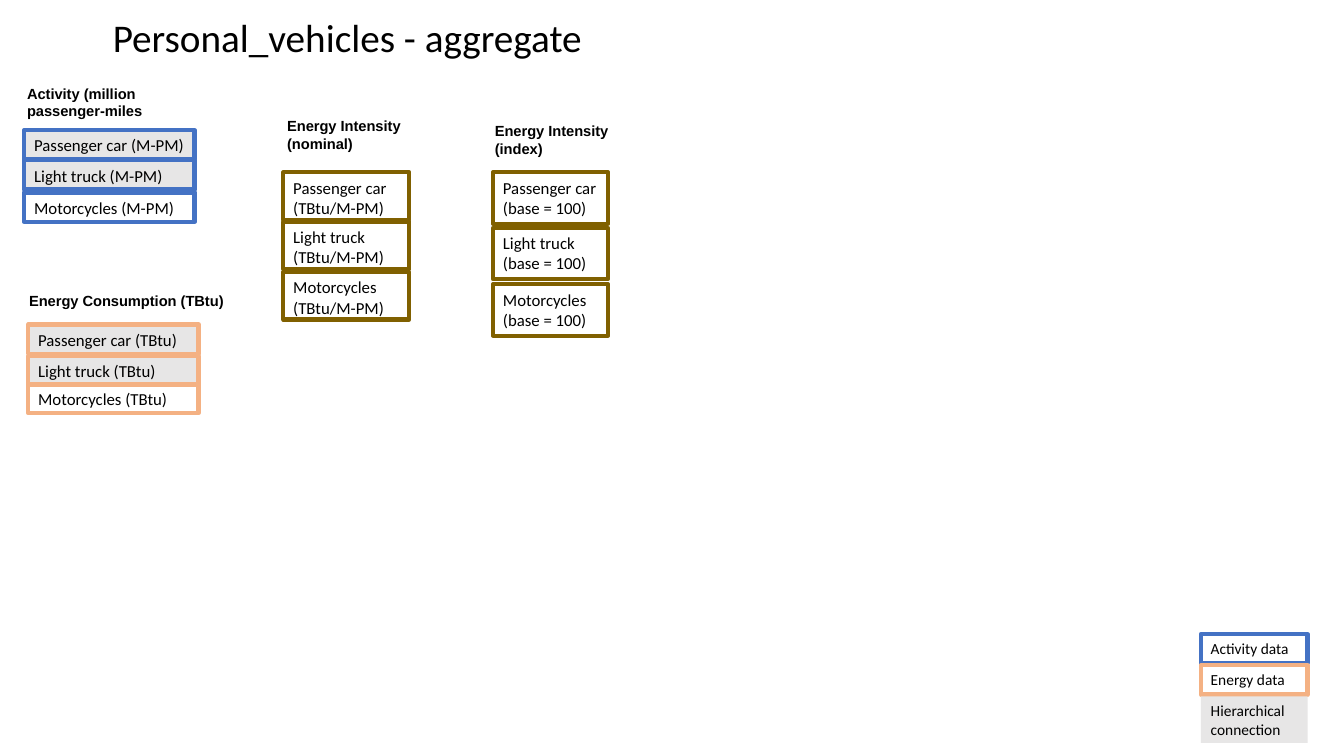
from pptx import Presentation
from pptx.dml.color import RGBColor
from pptx.enum.shapes import MSO_SHAPE
from pptx.enum.text import MSO_ANCHOR, PP_ALIGN
from pptx.util import Pt

RECTANGLE = MSO_SHAPE.RECTANGLE
TOP = MSO_ANCHOR.TOP
LEFT = PP_ALIGN.LEFT
PX = 9144

COLORS = {
    "text": "000000",
    "activity": "4472C4",
    "energy": "F4B183",
    "intensity": "806000",
    "hierarchy": "E7E6E6",
}
VEHICLES = ("Passenger car", "Light truck", "Motorcycles")
HIERARCHICAL = VEHICLES[:2]


def color(key):
    """Return the named colour."""
    return RGBColor.from_string(COLORS[key])


def scaled(box):
    """Turn a box in px into EMU lengths."""
    return [length * PX for length in box]


def write(holder, text, font="Calibri", size=12, bold=False):
    """Put formatted, wrapped, top-left text into a shape or text box."""
    frame = holder.text_frame
    frame.word_wrap = True
    frame.vertical_anchor = TOP
    paragraph = frame.paragraphs[0]
    paragraph.alignment = LEFT
    run = paragraph.add_run()
    run.text = text
    run.font.name = font
    run.font.size = Pt(size)
    run.font.bold = bold
    run.font.color.rgb = color("text")


def add_label(slide, box, text, **style):
    """Add free text in the given box."""
    write(slide.shapes.add_textbox(*scaled(box)), text, **style)


def add_node(slide, box, text, outline=None, fill=None, size=12):
    """Add a rectangle with an optional outline and fill."""
    node = slide.shapes.add_shape(RECTANGLE, *scaled(box))
    node.shadow.inherit = False
    if fill:
        node.fill.solid()
        node.fill.fore_color.rgb = color(fill)
    else:
        node.fill.background()
    if outline:
        node.line.color.rgb = color(outline)
        node.line.width = Pt(3)
    else:
        node.line.fill.background()
    write(node, text, size=size)


def add_group(slide, heading, heading_box, first_box, offsets, unit, outline,
              hierarchical=()):
    """Add a heading and one node per vehicle, stacked below the first box."""
    add_label(slide, heading_box, heading, font="Arial", size=10.5, bold=True)
    left, top, width, height = first_box
    for vehicle, offset in zip(VEHICLES, offsets):
        fill = "hierarchy" if vehicle in hierarchical else None
        add_node(slide, (left, top + offset, width, height),
                 f"{vehicle} ({unit})", outline, fill)


def add_legend(slide, box):
    """Add the three legend entries from the top of the box."""
    left, top, width, height = box
    entry = 29
    pitch = 31
    last = 2 * pitch
    add_node(slide, (left, top, width, entry), "Activity data",
             "activity", size=11)
    add_node(slide, (left, top + pitch, width, entry), "Energy data",
             "energy", size=11)
    add_node(slide, (left, top + last, width, height - last),
             "Hierarchical connection", fill="hierarchy", size=11)


def main():
    """Build the slide and save it."""
    deck = Presentation()
    deck.slide_width, deck.slide_height = scaled((1333, 750))
    slide = deck.slides.add_slide(deck.slide_layouts[6])

    add_label(slide, (102, 8, 489, 57), "Personal_vehicles - aggregate", size=28)
    add_group(slide, "Activity (million passenger-miles", (17, 79, 196, 45),
              (24, 129, 169, 29), (0, 30, 62), "M-PM", "activity", HIERARCHICAL)
    add_group(slide, "Energy Consumption (TBtu)", (19, 285, 245, 29),
              (28, 322, 169, 29), (0, 31, 59), "TBtu", "energy", HIERARCHICAL)
    add_group(slide, "Energy Intensity (nominal)", (275, 111, 154, 47),
              (281, 171, 125, 47), (0, 49, 99), "TBtu/M-PM", "intensity")
    add_group(slide, "Energy Intensity (index)", (481, 116, 154, 47),
              (489, 171, 114, 51), (0, 55, 111), "base = 100", "intensity")
    add_legend(slide, (1191, 629, 106, 108))

    deck.save("out.pptx")


if __name__ == "__main__":
    main()
